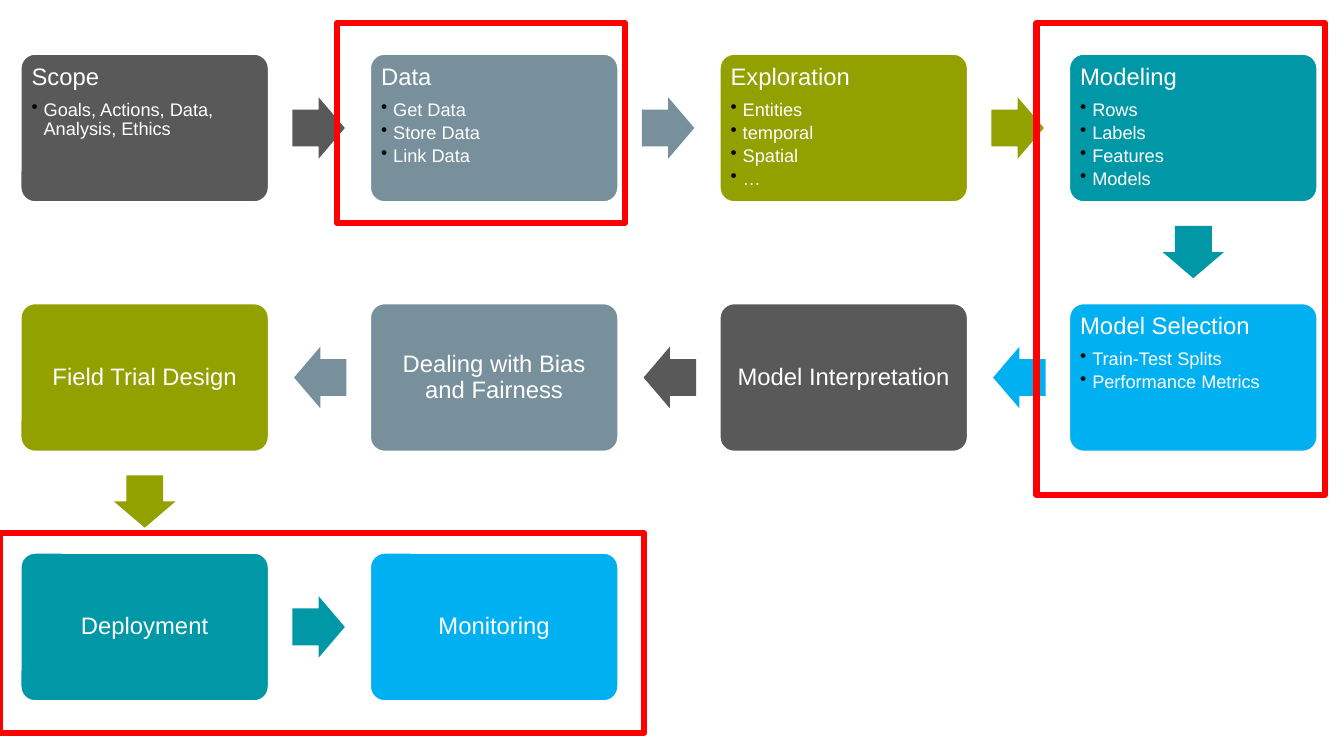
from dataclasses import dataclass
from itertools import pairwise

from lxml.etree import SubElement
from pptx import Presentation
from pptx.dml.color import RGBColor
from pptx.enum.shapes import MSO_SHAPE
from pptx.enum.text import MSO_ANCHOR, PP_ALIGN
from pptx.oxml.ns import qn
from pptx.util import Inches, Pt


@dataclass(frozen=True)
class Theme:
    """Colours, font and type sizes of the slide."""
    fills: tuple = ("595959", "78909C", "92A000", "0097A7", "00B0F0")
    text: str = "FFFFFF"
    bullet: str = "000000"
    highlight: str = "FF0000"
    font: str = "Arial"
    heading: int = 17
    point: int = 13


THEME = Theme()
COLUMNS = 4
LEFT, TOP = 0.2, 0.53
BOX_W, BOX_H = 2.47, 1.48
PITCH_X, PITCH_Y = 10.4 / 3, 4.95 / 2
ARROW_L, ARROW_W, ARROW_GAP = 0.52, 0.61, 0.23

STAGES = [
    ("Scope", ["Goals, Actions, Data, Analysis, Ethics"]),
    ("Data", ["Get Data", "Store Data", "Link Data"]),
    ("Exploration", ["Entities", "temporal", "Spatial", "…"]),
    ("Modeling", ["Rows", "Labels", "Features", "Models"]),
    ("Model Selection", ["Train-Test Splits", "Performance Metrics"]),
    ("Model Interpretation", []),
    ("Dealing with Bias and Fairness", []),
    ("Field Trial Design", []),
    ("Deployment", []),
    ("Monitoring", []),
]
HIGHLIGHTS = [
    (10.28, 0.23, 2.86, 4.68),
    (0, 5.29, 6.39, 1.98),
    (3.34, 0.23, 2.86, 1.98),
]


def add_block(slide, kind, box, fill=None):
    """Add a shadowless shape in the box, filled when a colour is given."""
    s = slide.shapes.add_shape(kind, *(Inches(v) for v in box))
    s.shadow.inherit = False
    if fill:
        s.fill.solid()
        s.fill.fore_color.rgb = RGBColor.from_string(fill)
    else:
        s.fill.background()
    return s


def set_line(s, color, width):
    """Give a shape an outline."""
    s.line.color.rgb = RGBColor.from_string(color)
    s.line.width = Pt(width)


def format_paragraph(p, size, align, after):
    """Set the spacing, alignment and type of one paragraph."""
    p.alignment = align
    p.line_spacing = 0.9
    p.space_after = Pt(after)
    for r in p.runs:
        r.font.name = THEME.font
        r.font.size = Pt(size)
        r.font.color.rgb = RGBColor.from_string(THEME.text)


def add_bullet(p):
    """Give a paragraph a hanging round bullet."""
    p.level = 1
    pPr = p._p.get_or_add_pPr()
    pPr.set("marL", str(Inches(0.12)))
    pPr.set("indent", str(-Inches(0.12)))
    color = SubElement(pPr, qn("a:buClr"))
    SubElement(color, qn("a:srgbClr"), val=THEME.bullet)
    SubElement(pPr, qn("a:buChar"), char="•")


def add_stage(slide, box, fill, heading, points):
    """Add a rounded stage box with its heading and bullet points."""
    s = add_block(slide, MSO_SHAPE.ROUNDED_RECTANGLE, box, fill)
    s.adjustments[0] = 0.1
    set_line(s, THEME.text, 2)
    tf = s.text_frame
    tf.word_wrap = True
    tf.margin_left = tf.margin_right = Inches(0.07)
    tf.margin_top = tf.margin_bottom = Inches(0.07)
    tf.vertical_anchor = MSO_ANCHOR.TOP if points else MSO_ANCHOR.MIDDLE
    tf.text = heading
    align = PP_ALIGN.LEFT if points else PP_ALIGN.CENTER
    format_paragraph(tf.paragraphs[0], THEME.heading, align, 7)
    for point in points:
        p = tf.add_paragraph()
        p.text = point
        add_bullet(p)
        format_paragraph(p, THEME.point, PP_ALIGN.LEFT, 2.4)


def add_arrow(slide, source, target, fill):
    """Add a block arrow leaving the source box towards the target box."""
    x, y, w, h = source
    cx, cy = x + w / 2, y + h / 2
    reach = ARROW_GAP + ARROW_L / 2
    if target[1] > y:
        cy += h / 2 + reach
        rotation = 90
    elif target[0] > x:
        cx += w / 2 + reach
        rotation = 0
    else:
        cx -= w / 2 + reach
        rotation = 180
    box = (cx - ARROW_L / 2, cy - ARROW_W / 2, ARROW_L, ARROW_W)
    s = add_block(slide, MSO_SHAPE.RIGHT_ARROW, box, fill)
    s.adjustments[0], s.adjustments[1] = 0.6, 0.5
    s.rotation = rotation
    s.line.fill.background()


def stage_box(i):
    """Return the box of stage i on a path that turns back at each row end."""
    row, col = divmod(i, COLUMNS)
    if row % 2:
        col = COLUMNS - 1 - col
    return LEFT + col * PITCH_X, TOP + row * PITCH_Y, BOX_W, BOX_H


def add_process(slide):
    """Add all stages and the arrows that join them."""
    boxes = [stage_box(i) for i in range(len(STAGES))]
    fills = [THEME.fills[i % len(THEME.fills)] for i in range(len(STAGES))]
    for box, fill, (heading, points) in zip(boxes, fills, STAGES):
        add_stage(slide, box, fill, heading, points)
    for (source, target), fill in zip(pairwise(boxes), fills):
        add_arrow(slide, source, target, fill)


def add_highlight(slide, box):
    """Add an unfilled frame around a group of stages."""
    s = add_block(slide, MSO_SHAPE.RECTANGLE, box)
    set_line(s, THEME.highlight, 4.5)


def main():
    """Build and save the slide."""
    prs = Presentation()
    prs.slide_width, prs.slide_height = Inches(13.33), Inches(7.5)
    slide = prs.slides.add_slide(prs.slide_layouts[6])
    add_process(slide)
    for box in HIGHLIGHTS:
        add_highlight(slide, box)
    prs.save("out.pptx")


if __name__ == "__main__":
    main()
